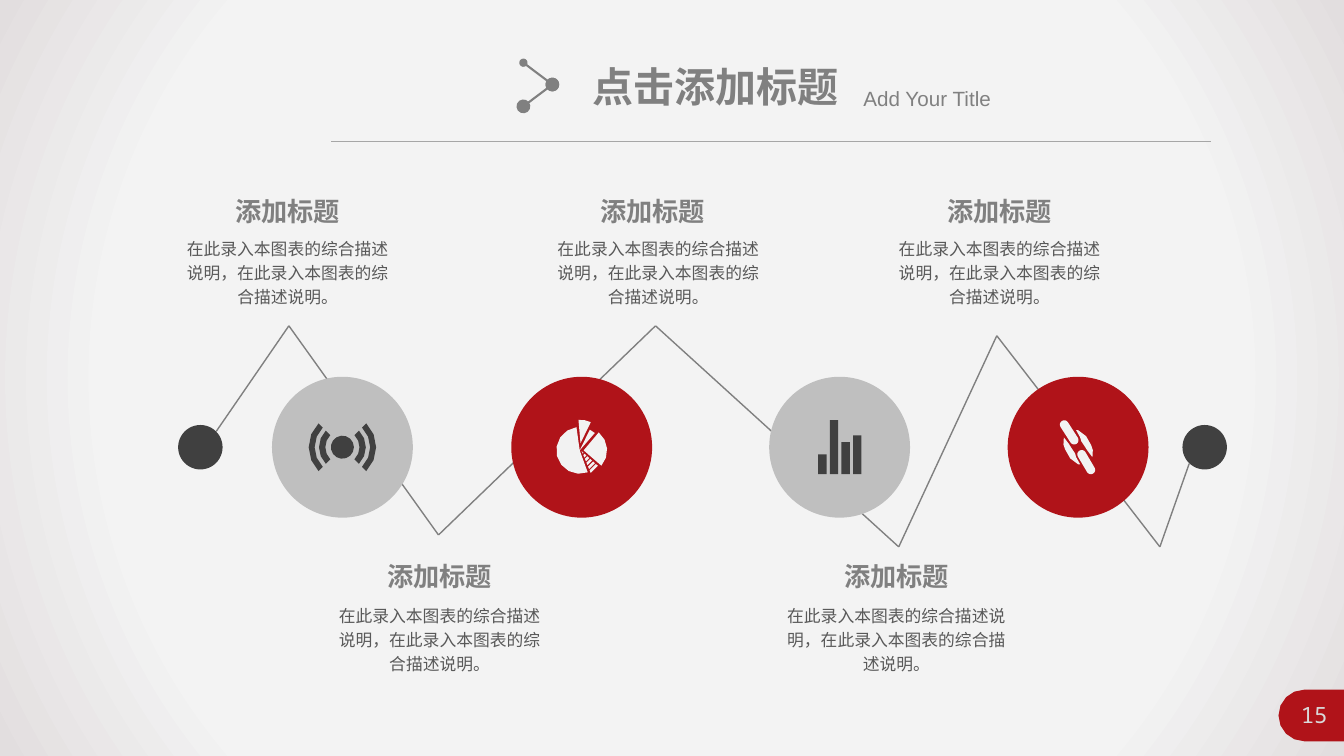
from itertools import pairwise
from math import atan2, ceil, cos, degrees, radians, sin

from lxml import etree
from pptx import Presentation
from pptx.dml.color import RGBColor
from pptx.enum import shapes, text
from pptx.oxml import ns
from pptx.util import Cm, Pt

WIDTH, HEIGHT = 33.87, 19.05
RED = RGBColor(0xB0, 0x13, 0x19)
SILVER = RGBColor(0xBF, 0xBF, 0xBF)
GRAY = RGBColor(0x80, 0x80, 0x80)
RULE_GRAY = RGBColor(0xA6, 0xA6, 0xA6)
CHARCOAL = RGBColor(0x40, 0x40, 0x40)
BODY_GRAY = RGBColor(0x59, 0x59, 0x59)
PAGE_GRAY = RGBColor(0xD9, 0xD9, 0xD9)
OFF_WHITE = RGBColor(0xF2, 0xF2, 0xF2)
BACKDROP_STOPS = [(0, "F5F5F5"), (73, "F3F3F3"), (100, "E2DEDF")]

CJK_FONT = "Noto Sans CJK SC"
HEADING = "添加标题"
DESCRIPTION = "在此录入本图表的综合描述说明，在此录入本图表的综合描述说明。"
MIDDLE = 11.27
ZIGZAG = [(5.45, 10.87), (7.28, 8.21), (11.05, 13.48), (16.52, 8.21),
          (22.65, 13.78), (25.12, 8.46), (29.23, 13.78), (29.97, 11.68)]
CARDS = [(7.25, 7.25, 5.89, 4.8), (11.08, 11.08, 5.89, 14),
         (16.45, 16.59, 5.61, 4.8), (25.19, 25.19, 5.99, 4.8),
         (22.6, 22.59, 6.4, 14)]


def child(parent, tag, **attributes):
    return etree.SubElement(parent, ns.qn(tag), attributes)


def paint(shape, color):
    shape.shadow.inherit = False
    shape.line.fill.background()
    shape.fill.solid()
    shape.fill.fore_color.rgb = color


def add_backdrop(slide):
    shape = slide.shapes.add_shape(
        shapes.MSO_SHAPE.RECTANGLE, 0, 0, Cm(WIDTH), Cm(HEIGHT))
    shape.shadow.inherit = False
    shape.line.fill.background()
    shape.fill.gradient()
    gradient = shape._element.spPr.find(ns.qn("a:gradFill"))
    for element in list(gradient):
        gradient.remove(element)
    stops = child(gradient, "a:gsLst")
    for position, color in BACKDROP_STOPS:
        stop = child(stops, "a:gs", pos=str(position * 1000))
        child(stop, "a:srgbClr", val=color)
    center = child(gradient, "a:path", path="circle")
    child(center, "a:fillToRect", l="50000", t="50000", r="50000", b="50000")


def add_circle(slide, x, y, diameter, color):
    shape = slide.shapes.add_shape(
        shapes.MSO_SHAPE.OVAL, Cm(x - diameter / 2), Cm(y - diameter / 2),
        Cm(diameter), Cm(diameter))
    paint(shape, color)


def add_line(slide, start, end, color, width, head=None, tail=None):
    line = slide.shapes.add_connector(
        shapes.MSO_CONNECTOR.STRAIGHT, *map(Cm, start + end))
    line.line.color.rgb = color
    line.line.width = Pt(width)
    for tag, size in (("a:headEnd", head), ("a:tailEnd", tail)):
        if size:
            child(line.line._get_or_add_ln(), tag, type="oval", w=size, len=size)
    child(line._element.spPr, "a:effectLst")


def add_outline(slide, x, y, contours_mm, color):
    placed = [[(Cm(x + dx / 10), Cm(y + dy / 10)) for dx, dy in contour]
              for contour in contours_mm]
    builder = slide.shapes.build_freeform(*placed[0][0])
    builder.add_line_segments(placed[0][1:], close=True)
    for contour in placed[1:]:
        builder.move_to(*contour[0])
        builder.add_line_segments(contour[1:], close=True)
    paint(builder.convert_to_shape(), color)


def add_text(slide, box, content, font, size, color, bold=False,
             align=text.PP_ALIGN.CENTER, wrap=True, spacing=None):
    frame = slide.shapes.add_textbox(*map(Cm, box)).text_frame
    frame.word_wrap = wrap
    paragraph = frame.paragraphs[0]
    paragraph.text = content
    paragraph.alignment = align
    if spacing:
        paragraph.line_spacing = spacing
    paragraph.font.name = font
    paragraph.font.size = Pt(size)
    paragraph.font.bold = bold
    paragraph.font.color.rgb = color
    properties = paragraph._p.pPr.find(ns.qn("a:defRPr"))
    child(properties, "a:ea", typeface=CJK_FONT)


def arc(x, y, radius, start, end):
    steps = ceil(abs(end - start) / 24)
    angles = [radians(start + (end - start) * i / steps)
              for i in range(steps + 1)]
    return [(x + radius * cos(a), y + radius * sin(a)) for a in angles]


def wedge(x, y, radius, start, end):
    return [(x, y)] + arc(x, y, radius, start, end)


def capsule(x1, y1, x2, y2, radius):
    angle = degrees(atan2(y2 - y1, x2 - x1))
    return (arc(x1, y1, radius, angle + 90, angle + 270)
            + arc(x2, y2, radius, angle - 90, angle + 90))


def signal_icon():
    waves = [arc(0, 0, outer, side - 45, side + 45)
             + arc(0, 0, inner, side + 45, side - 45)
             for inner, outer in ((4.3, 5.9), (7, 8.5)) for side in (0, 180)]
    return [arc(0, 0, 2.9, 0, 360)] + waves


def pie_icon():
    def along(x, y, t):
        return x * t, 1 + (y - 1) * t

    right, left = (4.3, 4.9), (2.4, 6.8)
    stripes = []
    for k in range(6):
        near, far = k / 6, k / 6 + 0.11
        stripes.append([along(*right, near), along(*right, far),
                        along(*left, far), along(*left, near)])
    return [wedge(-0.5, 0.8, 5.9, 262, 70), wedge(0.5, 0.8, 5.9, -50, 41),
            wedge(-0.3, -1, 5.9, -95, -64),
            wedge(-0.5, 0.8, 5.8, -64, -49)] + stripes


def bars_icon():
    bars = []
    for i, top in enumerate((1.8, -6.8, -1.3, -3)):
        left = -5.4 + 2.93 * i
        bars.append([(left, top), (left + 2.1, top),
                     (left + 2.1, 6.8), (left, 6.8)])
    return bars


def link_icon():
    side = [(-0.5, -4.3), (0, -4.3), (2, -2.8), (3.3, -0.5), (3.7, 0.7),
            (3.6, 2.5), (2.3, 0.8), (1.8, 0), (0.8, -1.5), (0.5, -2.5)]
    return [side, [(-x, -y) for x, y in side],
            capsule(-3.5, -5.7, -1, -1.8, 1.1),
            capsule(0.9, 1.8, 3.2, 5.7, 1.1)]


def add_header(slide):
    add_line(slide, (8.35, 3.56), (30.52, 3.56), RULE_GRAY, 0.5)
    add_text(slide, (14.68, 1.42, 6.78, 1.5), "点击添加标题", "Arial", 29.3,
             GRAY, bold=True, align=text.PP_ALIGN.LEFT, wrap=False)
    add_text(slide, (21.51, 2.03, 6.4, 0.89), "Add Your Title", "Arial", 14.7,
             GRAY, align=text.PP_ALIGN.LEFT)
    tip = (13.92, 2.13)
    add_line(slide, (13.19, 1.58), tip, GRAY, 1.5, "med", "lg")
    add_line(slide, tip, (13.19, 2.68), GRAY, 1.5, "lg", "lg")


def add_page_number(slide):
    tab = arc(0, 0, 6.5, 90, 270) + [(10.1, -6.5), (10.1, 6.5)]
    add_outline(slide, 32.87, 18.03, [tab], RED)
    add_text(slide, (32.28, 17.55, 1.68, 0.94), "15", "Noto Sans Mono", 16,
             PAGE_GRAY)


def add_card(slide, heading_x, body_x, body_width, top):
    add_text(slide, (heading_x - 1.59, top, 3.18, 1.07), HEADING, CJK_FONT,
             18.7, GRAY, bold=True, wrap=False)
    body_top = top + (0.98 if top < MIDDLE else 1.04)
    add_text(slide, (body_x - body_width / 2, body_top, body_width, 2.11),
             DESCRIPTION, CJK_FONT, 12, BODY_GRAY, spacing=1.2)


def main():
    presentation = Presentation()
    presentation.slide_width, presentation.slide_height = Cm(WIDTH), Cm(HEIGHT)
    slide = presentation.slides.add_slide(presentation.slide_layouts[6])
    add_backdrop(slide)
    add_header(slide)
    add_page_number(slide)
    for start, end in pairwise(ZIGZAG):
        add_line(slide, start, end, GRAY, 1)
    for x in (5.05, 30.36):
        add_circle(slide, x, MIDDLE, 1.12, CHARCOAL)
    for x, contours, disc, ink in ((8.63, signal_icon(), SILVER, CHARCOAL),
                                   (14.66, pie_icon(), RED, OFF_WHITE),
                                   (21.16, bars_icon(), SILVER, CHARCOAL),
                                   (27.17, link_icon(), RED, OFF_WHITE)):
        add_circle(slide, x, MIDDLE, 3.55, disc)
        add_outline(slide, x, MIDDLE, contours, ink)
    for card in CARDS:
        add_card(slide, *card)
    presentation.save("out.pptx")


if __name__ == "__main__":
    main()
